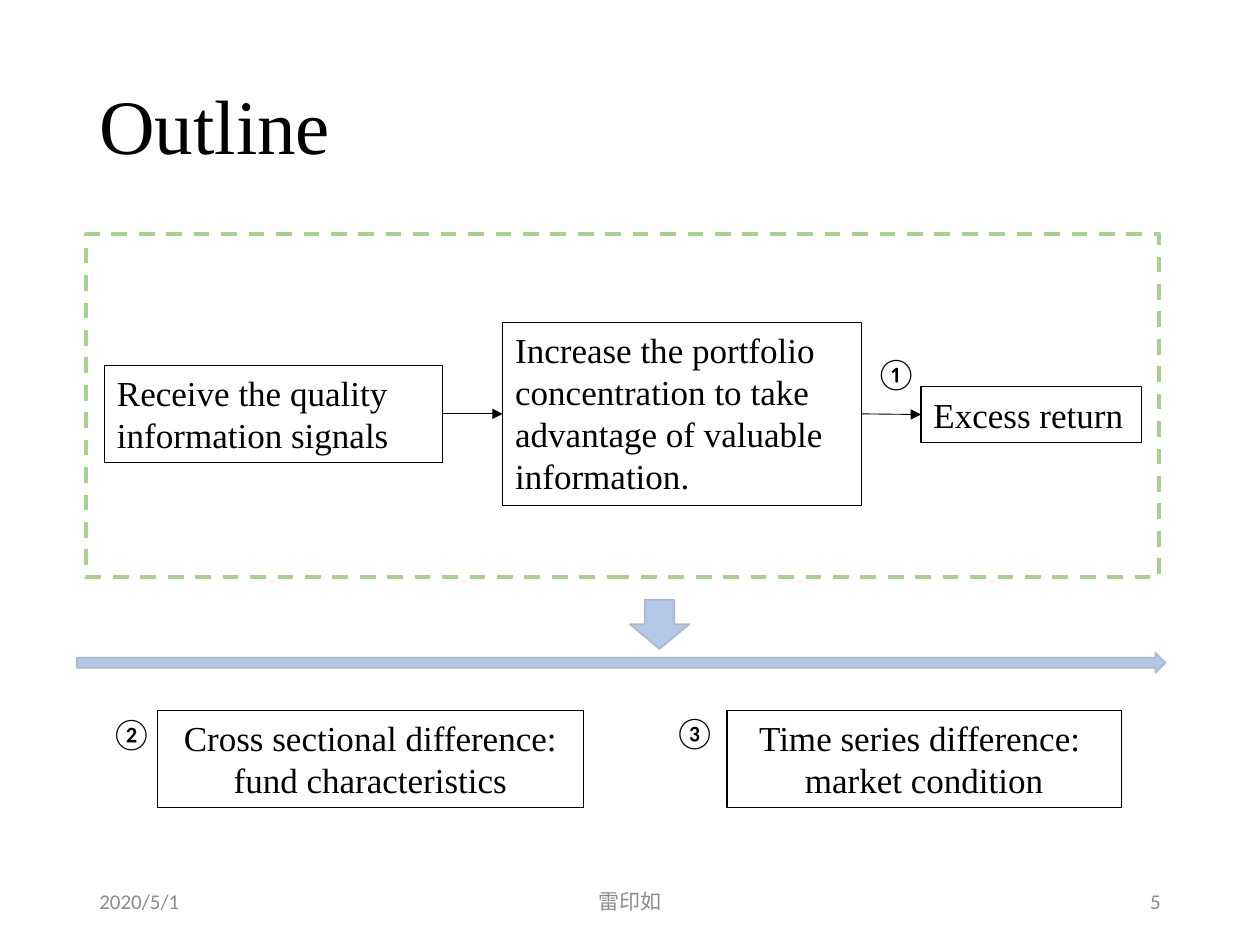
"""Build the outline slide: a research flow leading to two kinds of difference."""
from dataclasses import dataclass

from lxml.etree import SubElement
from pptx import Presentation
from pptx.dml.color import RGBColor
from pptx.enum.dml import MSO_LINE_DASH_STYLE as Dash
from pptx.enum.shapes import MSO_CONNECTOR as Link, MSO_SHAPE as Preset
from pptx.enum.text import MSO_ANCHOR as Anchor, PP_ALIGN as Align
from pptx.oxml.ns import qn
from pptx.util import Inches, Pt

COLUMNS, ROWS = 100, 75
WIDTH, HEIGHT = Inches(10), Inches(7.5)
COLORS = {
    "ink": "000000",
    "footer": "8C8C8C",
    "arrow": "B4C7E7",
    "arrow_edge": "ADB9CA",
    "frame": "A9D18E",
}
SERIF, SANS = "Times New Roman", "Calibri"


@dataclass(frozen=True)
class Area:
    column: float
    row: float
    columns: float
    rows: float

    def lengths(self) -> tuple:
        return (
            int(WIDTH * self.column / COLUMNS),
            int(HEIGHT * self.row / ROWS),
            int(WIDTH * self.columns / COLUMNS),
            int(HEIGHT * self.rows / ROWS),
        )


@dataclass(frozen=True)
class Label:
    area: Area
    lines: tuple
    size: float = 20
    font: str = SERIF
    color: str = "ink"
    align: Align = Align.LEFT
    anchor: Anchor = Anchor.TOP
    spacing: float = 1.0


@dataclass(frozen=True)
class Figure:
    preset: Preset
    area: Area
    edge: str
    weight: float
    fill: str = ""
    dash: Dash = Dash.SOLID


def footer(area: Area, text: str, align: Align) -> Label:
    return Label(area, (text,), 12, SANS, "footer", align, Anchor.MIDDLE)


def marker(column: float, row: float, text: str) -> Label:
    return Label(Area(column, row, 6.4, 4), (text,), 18, SANS)


TEXTS = (
    Label(Area(6.9, 3, 86.2, 14.5), ("Outline",), 44, anchor=Anchor.MIDDLE, spacing=0.9),
    footer(Area(6.9, 69.5, 22.5, 4), "2020/5/1", Align.LEFT),
    footer(Area(33.1, 69.5, 33.8, 4), "雷印如", Align.CENTER),
    footer(Area(70.6, 69.5, 22.5, 4), "5", Align.RIGHT),
    marker(68.5, 27.6, "①"),
    marker(7.8, 56.2, "②"),
    marker(52.5, 56.1, "③"),
)
STEPS = (
    Label(Area(8.3, 29, 26.8, 7.7), ("Receive the quality information signals",)),
    Label(
        Area(39.9, 25.6, 28.5, 14.5),
        ("Increase the portfolio concentration to take advantage of valuable information.",),
    ),
    Label(Area(73.1, 30.7, 17.5, 4.4), ("Excess return",)),
)
DIFFERENCES = (
    Label(
        Area(12.5, 56.4, 33.8, 7.7),
        ("Cross sectional difference: fund characteristics",),
        align=Align.CENTER,
    ),
    Label(
        Area(57.7, 56.4, 31.3, 7.7),
        ("Time series difference: ", "market condition"),
        align=Align.CENTER,
    ),
)
FIGURES = (
    Figure(Preset.RIGHT_ARROW, Area(6.1, 51.8, 86.4, 1.6), "arrow_edge", 1, "arrow"),
    Figure(Preset.DOWN_ARROW, Area(50, 47.6, 4.7, 3.9), "arrow_edge", 1, "arrow"),
    Figure(Preset.RECTANGLE, Area(6.8, 18.6, 85.2, 27.2), "frame", 2.25, dash=Dash.DASH),
)


def color(name: str) -> RGBColor:
    return RGBColor.from_string(COLORS[name])


def write(shape, label: Label) -> None:
    frame = shape.text_frame
    frame.word_wrap = True
    frame.vertical_anchor = label.anchor
    for index, line in enumerate(label.lines):
        para = frame.add_paragraph() if index else frame.paragraphs[0]
        para.alignment = label.align
        para.line_spacing = label.spacing
        span = para.add_run()
        span.text = line
        span.font.name = label.font
        span.font.size = Pt(label.size)
        span.font.color.rgb = color(label.color)


def draw_text(page, label: Label) -> None:
    write(page.shapes.add_textbox(*label.area.lengths()), label)


def draw_figure(page, figure: Figure):
    shape = page.shapes.add_shape(figure.preset, *figure.area.lengths())
    shape.shadow.inherit = False
    if figure.fill:
        shape.fill.solid()
        shape.fill.fore_color.rgb = color(figure.fill)
    else:
        shape.fill.background()
    shape.line.color.rgb = color(figure.edge)
    shape.line.width = Pt(figure.weight)
    shape.line.dash_style = figure.dash
    return shape


def draw_box(page, label: Label):
    box = draw_figure(page, Figure(Preset.RECTANGLE, label.area, "ink", 0.75))
    write(box, label)
    return box


def draw_link(page, source, target) -> None:
    link = page.shapes.add_connector(Link.STRAIGHT, 0, 0, 0, 0)
    link.begin_connect(source, 3)
    link.end_connect(target, 1)
    link.line.color.rgb = color("ink")
    link.line.width = Pt(0.5)
    SubElement(link.line._get_or_add_ln(), qn("a:tailEnd"), type="triangle")
    SubElement(link._element.spPr, qn("a:effectLst"))


def main() -> None:
    deck = Presentation()
    deck.slide_width, deck.slide_height = WIDTH, HEIGHT
    page = deck.slides.add_slide(deck.slide_layouts[6])
    for label in TEXTS:
        draw_text(page, label)
    boxes = [draw_box(page, step) for step in STEPS]
    for source, target in zip(boxes, boxes[1:]):
        draw_link(page, source, target)
    for label in DIFFERENCES:
        draw_box(page, label)
    for figure in FIGURES:
        draw_figure(page, figure)
    deck.save("out.pptx")


if __name__ == "__main__":
    main()
